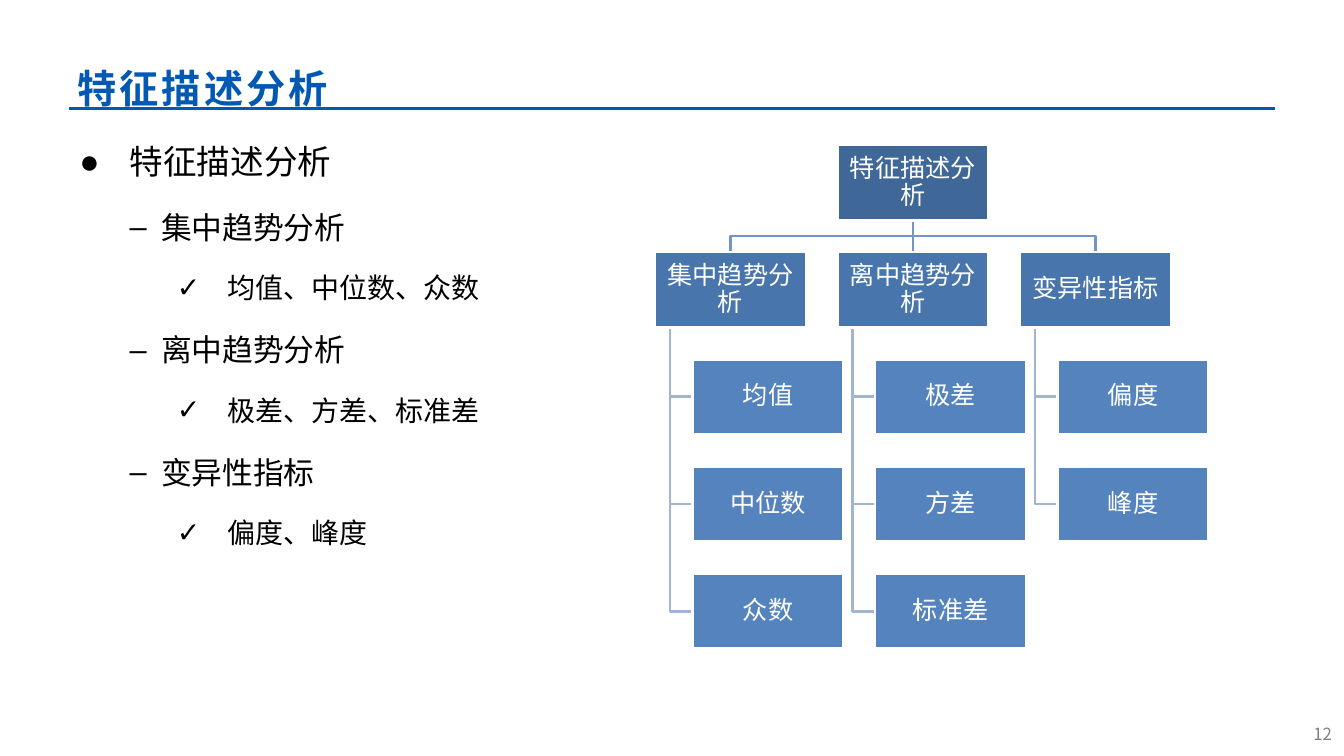
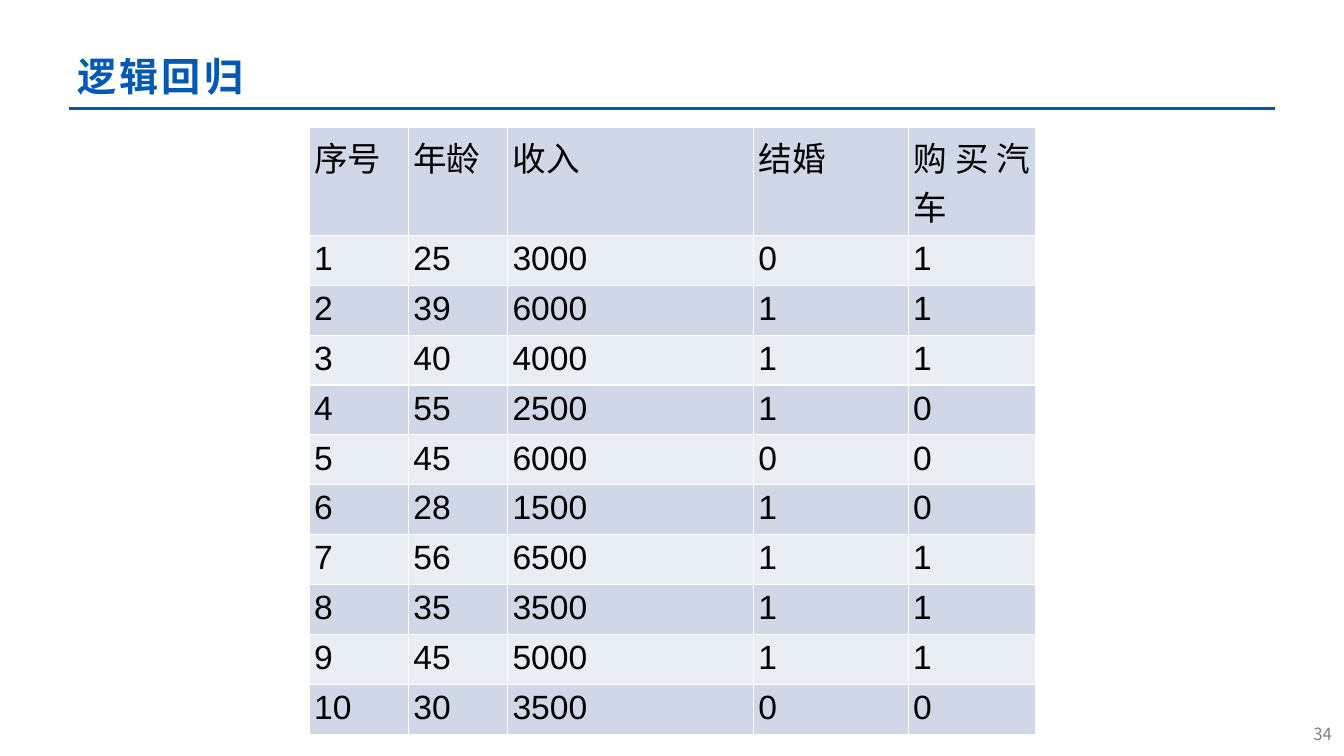
"""Build two slides: a feature description tree and a logistic regression table."""
from lxml import etree
from pptx import Presentation
from pptx.dml.color import RGBColor
from pptx.enum.shapes import MSO_CONNECTOR, MSO_SHAPE
from pptx.enum.text import MSO_ANCHOR, MSO_AUTO_SIZE, PP_ALIGN
from pptx.oxml.ns import qn
from pptx.util import Cm, Pt

STRAIGHT, RECTANGLE = MSO_CONNECTOR.STRAIGHT, MSO_SHAPE.RECTANGLE
MIDDLE, NO_AUTOFIT = MSO_ANCHOR.MIDDLE, MSO_AUTO_SIZE.NONE
LEFT, CENTER, RIGHT, JUSTIFY = PP_ALIGN.LEFT, PP_ALIGN.CENTER, PP_ALIGN.RIGHT, PP_ALIGN.JUSTIFY

BLUE = RGBColor(0x02, 0x59, 0xB3)
GRAY = RGBColor(0x80, 0x80, 0x80)
BLACK = RGBColor(0x00, 0x00, 0x00)
WHITE = RGBColor(0xFF, 0xFF, 0xFF)
ROOT_FILL = RGBColor(0x3F, 0x67, 0x97)
BRANCH_FILL = RGBColor(0x48, 0x75, 0xAC)
LEAF_FILL = RGBColor(0x54, 0x83, 0xBE)
BRANCH_LINE = RGBColor(0x73, 0x94, 0xC5)
LEAF_LINE = RGBColor(0xA1, 0xB4, 0xD4)
DARK_BAND = RGBColor(0xD0, 0xD8, 0xE8)
LIGHT_BAND = RGBColor(0xE9, 0xED, 0xF4)

CJK_FONT, LATIN_FONT = "Noto Sans CJK SC", "Arial"

TOPIC = "特征描述分析"
BRANCHES = {
    "集中趋势分析": ["均值", "中位数", "众数"],
    "离中趋势分析": ["极差", "方差", "标准差"],
    "变异性指标": ["偏度", "峰度"],
}
BULLETS = [("●", 24, 1.27, -1.27), ("–", 22, 2.06, -0.79), ("✓", 20, 3.73, -1.27)]

CUSTOMERS = [
    ("序号", "年龄", "收入", "结婚", "购买汽车"),
    (1, 25, 3000, 0, 1),
    (2, 39, 6000, 1, 1),
    (3, 40, 4000, 1, 1),
    (4, 55, 2500, 1, 0),
    (5, 45, 6000, 0, 0),
    (6, 28, 1500, 1, 0),
    (7, 56, 6500, 1, 1),
    (8, 35, 3500, 1, 1),
    (9, 45, 5000, 1, 1),
    (10, 30, 3500, 0, 0),
]


def write(paragraph, text, *, size, color, font=CJK_FONT, bold=False, align=LEFT,
          line_spacing=1.0, space_before=0, tracking=None):
    """Put one formatted run of text into a paragraph."""
    paragraph.alignment = align
    paragraph.line_spacing = line_spacing
    paragraph.space_before = Pt(space_before)
    run = paragraph.add_run()
    run.text = text
    run.font.size, run.font.bold, run.font.name = Pt(size), bold, font
    run.font.color.rgb = color
    properties = run._r.get_or_add_rPr()
    etree.SubElement(properties, qn("a:ea")).set("typeface", CJK_FONT)
    if tracking:
        properties.set("spc", str(tracking))


class Deck:
    """Hold the shared style and the current slide."""

    def __init__(self):
        """Start an empty widescreen presentation."""
        self.presentation = Presentation()
        self.presentation.slide_width, self.presentation.slide_height = Cm(33.88), Cm(19.05)
        self.shapes = None

    def add_slide(self, heading, number, line_spacing=1.0):
        """Add a slide with its rule, title and page number."""
        layout = self.presentation.slide_layouts[5]
        self.shapes = self.presentation.slides.add_slide(layout).shapes
        self.line((1.75, 2.73), (32.15, 2.73), BLUE, 2.25)
        title = self.shapes.title
        title.left, title.top, title.width, title.height = Cm(1.7), Cm(0.92), Cm(30.5), Cm(2)
        frame = title.text_frame
        frame.auto_size, frame.vertical_anchor = NO_AUTOFIT, MIDDLE
        write(frame.paragraphs[0], heading, size=28, color=BLUE, bold=True,
              line_spacing=line_spacing, tracking=220)
        footer = self.text_frame(25.93, 18.05, 7.9, 0.89)
        footer.vertical_anchor = MIDDLE
        write(footer.paragraphs[0], str(number), size=12, color=GRAY, align=RIGHT)

    def text_frame(self, left, top, width, height):
        """Add a wrapping text box and return its frame."""
        frame = self.shapes.add_textbox(Cm(left), Cm(top), Cm(width), Cm(height)).text_frame
        frame.word_wrap = True
        return frame

    def line(self, start, end, color, weight):
        """Draw a straight line."""
        connector = self.shapes.add_connector(STRAIGHT, *map(Cm, start + end))
        connector.line.color.rgb, connector.line.width = color, Pt(weight)
        etree.SubElement(connector._element.spPr, qn("a:effectLst"))

    def bent_line(self, points, color):
        """Draw an open line through several points."""
        start, *others = [(Cm(x), Cm(y)) for x, y in points]
        builder = self.shapes.build_freeform(*start)
        builder.add_line_segments(others, close=False)
        outline = builder.convert_to_shape()
        outline.fill.background()
        outline.line.color.rgb, outline.line.width = color, Pt(2)
        outline.shadow.inherit = False

    def box(self, text, left, top, width, height, fill):
        """Draw a filled box with a centred label."""
        box = self.shapes.add_shape(RECTANGLE, Cm(left), Cm(top), Cm(width), Cm(height))
        box.shadow.inherit = False
        box.fill.solid()
        box.fill.fore_color.rgb = fill
        box.line.color.rgb, box.line.width = WHITE, Pt(2)
        frame = box.text_frame
        frame.word_wrap, frame.vertical_anchor = True, MIDDLE
        frame.margin_left = frame.margin_right = frame.margin_top = frame.margin_bottom = Cm(0.03)
        write(frame.paragraphs[0], text, size=18, color=WHITE, align=CENTER, line_spacing=0.9)

    def bullets(self, items, left, top, width, height):
        """Write (level, text) pairs as a bulleted list."""
        frame = self.text_frame(left, top, width, height)
        for index, (level, text) in enumerate(items):
            paragraph = frame.add_paragraph() if index else frame.paragraphs[0]
            mark, size, margin, indent = BULLETS[level]
            paragraph.level = level
            properties = paragraph._p.get_or_add_pPr()
            properties.set("marL", str(Cm(margin)))
            properties.set("indent", str(Cm(indent)))
            etree.SubElement(properties, qn("a:buFont")).set("typeface", LATIN_FONT)
            etree.SubElement(properties, qn("a:buChar")).set("char", mark)
            write(paragraph, text, size=size, color=BLACK, line_spacing=1.5,
                  space_before=6 if index else 0)

    def tree(self, root, branches, left, top):
        """Draw a root, its branches side by side and their leaves below."""
        width, height, column_step, row_step = 3.81, 1.9, 4.6, 2.7
        leaf_indent, stem_indent = 0.95, 0.38
        root_left = left + column_step * (len(branches) - 1) / 2
        root_x, root_bottom = root_left + width / 2, top + height
        branch_top = top + row_step
        bus_y = (root_bottom + branch_top) / 2
        boxes = [(root, root_left, top, ROOT_FILL)]
        for column, (branch, leaves) in enumerate(branches.items()):
            branch_left = left + column * column_step
            branch_x = branch_left + width / 2
            boxes.append((branch, branch_left, branch_top, BRANCH_FILL))
            if abs(branch_x - root_x) < 0.01:
                self.line((root_x, root_bottom), (root_x, branch_top), BRANCH_LINE, 2)
            else:
                self.bent_line([(root_x, root_bottom), (root_x, bus_y),
                                (branch_x, bus_y), (branch_x, branch_top)], BRANCH_LINE)
            stem_x, leaf_left = branch_left + stem_indent, branch_left + leaf_indent
            for row, leaf in enumerate(leaves, 1):
                leaf_top = branch_top + row * row_step
                leaf_y = leaf_top + height / 2
                boxes.append((leaf, leaf_left, leaf_top, LEAF_FILL))
                self.bent_line([(stem_x, branch_top + height), (stem_x, leaf_y),
                                (leaf_left, leaf_y)], LEAF_LINE)
        for text, box_left, box_top, fill in boxes:
            self.box(text, box_left, box_top, width, height, fill)

    def table(self, rows, left, top, widths, header_height, row_height):
        """Add a banded table with white borders."""
        heights = [header_height] + [row_height] * (len(rows) - 1)
        table = self.shapes.add_table(len(rows), len(widths), Cm(left), Cm(top),
                                      Cm(sum(widths)), Cm(sum(heights))).table
        table.first_row = table.horz_banding = False
        for column, width in zip(table.columns, widths):
            column.width = Cm(width)
        for index, (row, height) in enumerate(zip(rows, heights)):
            table.rows[index].height = Cm(height)
            for column, value in enumerate(row):
                self.cell(table.cell(index, column), str(value),
                          LIGHT_BAND if index % 2 else DARK_BAND)

    def cell(self, cell, text, fill):
        """Format one table cell."""
        properties = cell._tc.get_or_add_tcPr()
        for side in ("a:lnL", "a:lnR", "a:lnT", "a:lnB"):
            border = etree.SubElement(properties, qn(side), w=str(Pt(1)))
            solid = etree.SubElement(border, qn("a:solidFill"))
            etree.SubElement(solid, qn("a:srgbClr")).set("val", str(WHITE))
        cell.fill.solid()
        cell.fill.fore_color.rgb = fill
        cell.margin_left = cell.margin_right = cell.margin_top = cell.margin_bottom = Cm(0.12)
        write(cell.text_frame.paragraphs[0], text, size=24, color=BLACK,
              font=LATIN_FONT, align=JUSTIFY)


def main():
    """Build and save both slides."""
    deck = Deck()

    deck.add_slide(TOPIC, 12, line_spacing=1.5)
    outline = [(0, TOPIC)]
    for branch, leaves in BRANCHES.items():
        outline += [(1, branch), (2, "、".join(leaves))]
    deck.bullets(outline, 1.75, 2.93, 14, 14)
    deck.tree(TOPIC, BRANCHES, 16.51, 3.65)

    deck.add_slide("逻辑回归", 34)
    deck.table(CUSTOMERS, 7.8, 3.22, [2.5, 2.5, 6.2, 3.9, 3.2], 2.71, 1.24)

    deck.presentation.save("out.pptx")


if __name__ == "__main__":
    main()
